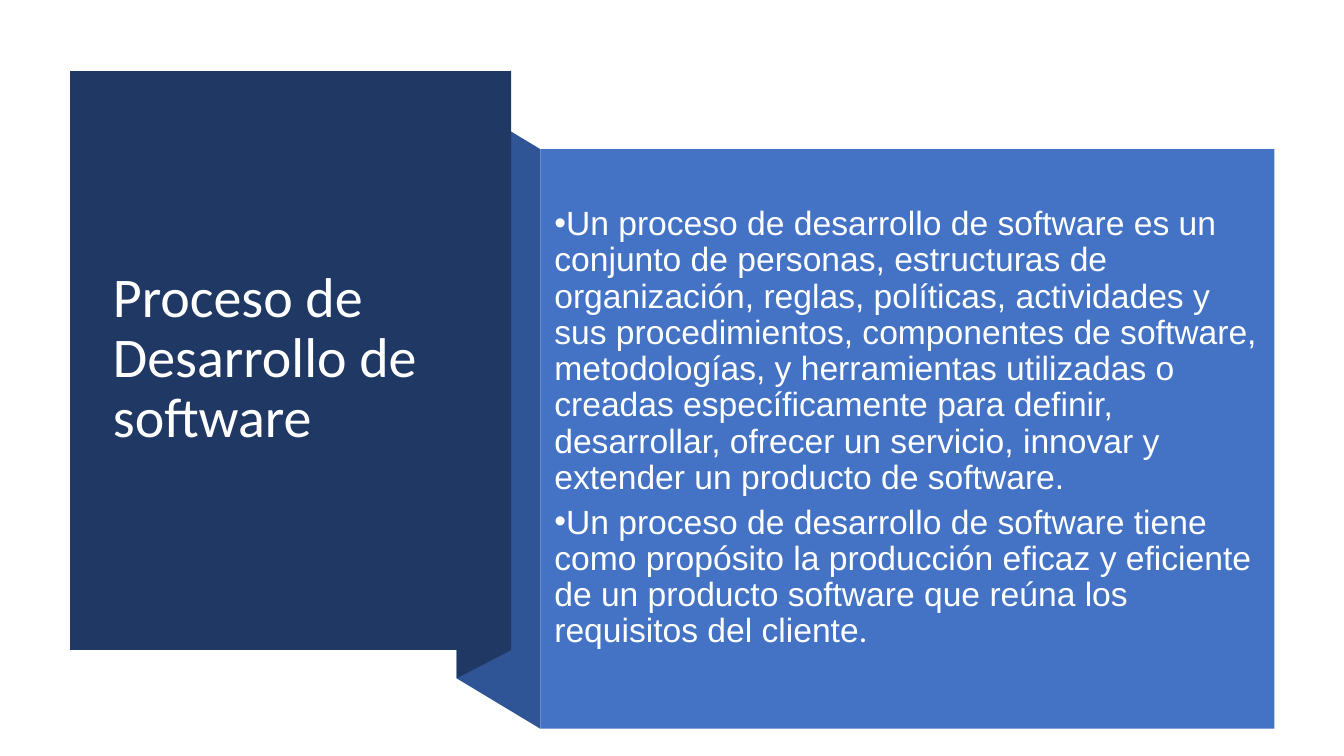
from pptx import Presentation, util as u
from pptx.dml.color import RGBColor
from pptx.enum import shapes, text
from lxml import etree

TITLE = "Proceso de Desarrollo de software"
POINTS = [
    [("Un proceso de desarrollo de software es un conjunto de personas, "
      "estructuras de organización, reglas, políticas, actividades y sus "
      "procedimientos, componentes de software, metodologías, y herramientas "
      "utilizadas o creadas específicamente para definir, desarrollar, ofrecer "
      "un servicio, innovar y extender un producto de software.", "Arial")],
    [("Un proceso de desarrollo de software tiene como propósito la producción "
      "eficaz y eficiente de un producto software que reúna los requisitos del "
      "cliente", "Arial"), (".", "Calibri")],
]
NAVY, FOLD_BLUE, BLUE = "203864", "2F5597", "4472C4"

# Shared edges of the folded ribbon, in inches
LEFT, FOLD, NAVY_RIGHT, BLUE_LEFT, RIGHT = 0.69, 4.53, 5.07, 5.36, 12.64
NAVY_TOP, FOLD_TOP, BLUE_TOP = 0.7, 0.98, 1.48
HEIGHT = 5.75
RIBBON = [
    (FOLD_BLUE, FOLD, FOLD_TOP, BLUE_LEFT, BLUE_TOP),
    (NAVY, FOLD, FOLD_TOP, NAVY_RIGHT, NAVY_TOP),
    (NAVY, LEFT, NAVY_TOP, NAVY_RIGHT, NAVY_TOP),
]
TITLE_BOX = (1.02, 1.07, 3.71, 4.99)
BODY_BOX = (5.4, 1.88, 7.24, 4.74)


def rgb(value):
    return RGBColor.from_string(value)


def paint(sp, color):
    sp.fill.solid()
    sp.fill.fore_color.rgb = rgb(color)
    sp.line.fill.background()
    sp.shadow.inherit = False


def add_panel(s, color, left, left_top, right, right_top):
    """Add a panel with upright sides of equal height and slanted ends."""
    corners = [(left, left_top), (right, right_top),
               (right, right_top + HEIGHT), (left, left_top + HEIGHT)]
    start, *others = [(u.Inches(x), u.Inches(y)) for x, y in corners]
    fb = s.shapes.build_freeform(*start)
    fb.add_line_segments(others, close=True)
    paint(fb.convert_to_shape(), color)


def setup_frame(tf):
    tf.word_wrap = True
    tf.auto_size = text.MSO_AUTO_SIZE.NONE
    tf.vertical_anchor = text.MSO_ANCHOR.MIDDLE


def add_run(p, words, font, size, color):
    r = p.add_run()
    r.text = words
    r.font.name, r.font.size, r.font.color.rgb = font, u.Pt(size), rgb(color)


def add_bullet(p):
    pPr = p._p.get_or_add_pPr()
    pPr.set("marL", "0")
    pPr.set("indent", str(-u.Inches(0.25)))
    ns = "{http://schemas.openxmlformats.org/drawingml/2006/main}"
    etree.SubElement(pPr, ns + "buFont", typeface="Arial")
    etree.SubElement(pPr, ns + "buChar", char="•")


def main():
    prs = Presentation()
    prs.slide_width, prs.slide_height = u.Inches(13.33), u.Inches(7.5)
    s = prs.slides.add_slide(prs.slide_layouts[5])

    for panel in RIBBON:
        add_panel(s, *panel)

    title = s.shapes.title
    title.left, title.top, title.width, title.height = map(u.Inches, TITLE_BOX)
    s.shapes._spTree.append(title._element)
    setup_frame(title.text_frame)
    p = title.text_frame.paragraphs[0]
    p.alignment, p.line_spacing = text.PP_ALIGN.LEFT, 0.9
    add_run(p, TITLE, "Calibri", 40, "FFFFFF")

    box = (BLUE_LEFT, BLUE_TOP, RIGHT - BLUE_LEFT, HEIGHT)
    paint(s.shapes.add_shape(shapes.MSO_SHAPE.RECTANGLE, *map(u.Inches, box)), BLUE)

    tf = s.shapes.add_textbox(*map(u.Inches, BODY_BOX)).text_frame
    setup_frame(tf)
    for i, runs in enumerate(POINTS):
        p = tf.add_paragraph() if i else tf.paragraphs[0]
        p.line_spacing, p.space_after = 0.9, u.Pt(6)
        add_bullet(p)
        for words, font in runs:
            add_run(p, words, font, 24, "FEFFFF")

    prs.save("out.pptx")


if __name__ == "__main__":
    main()
